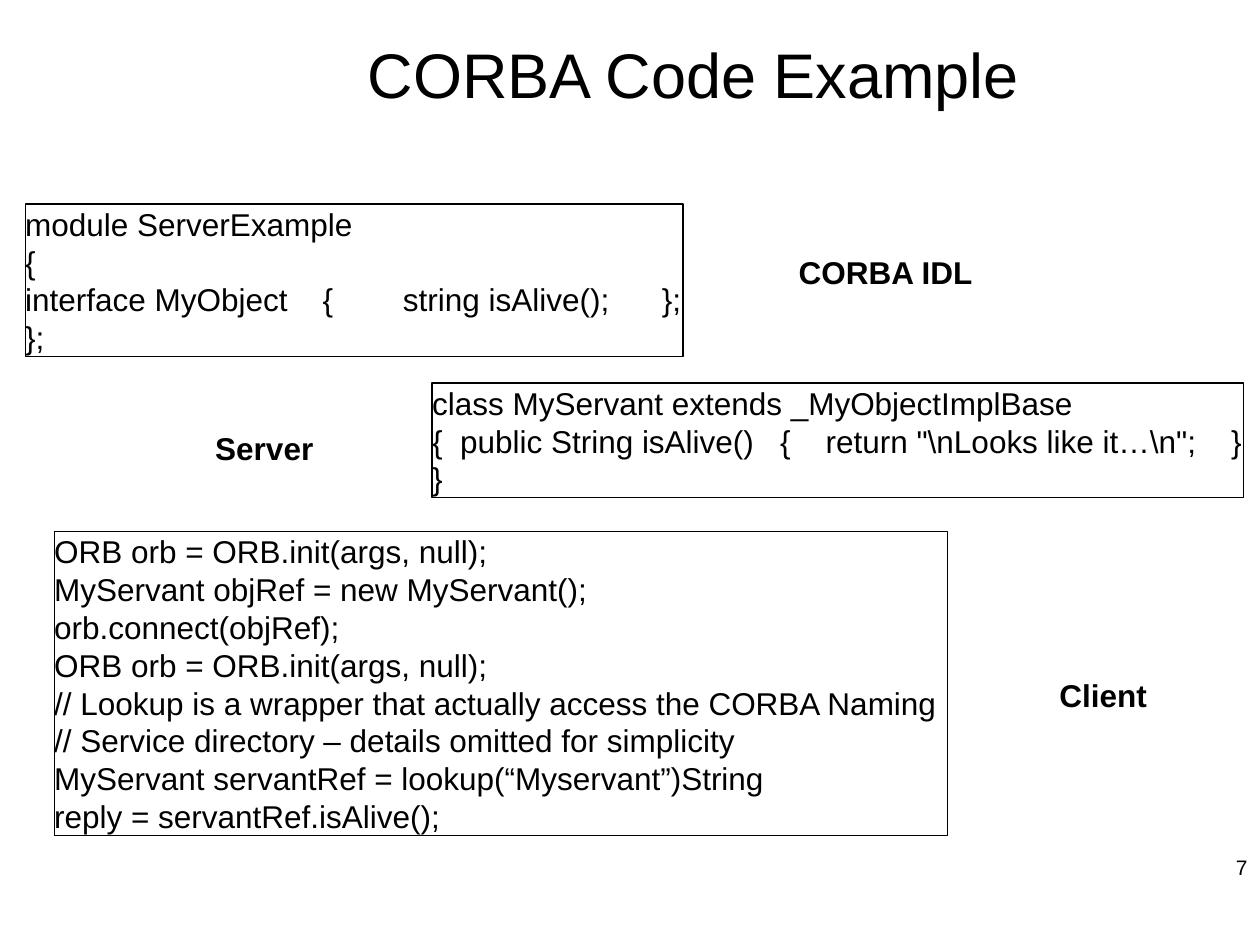
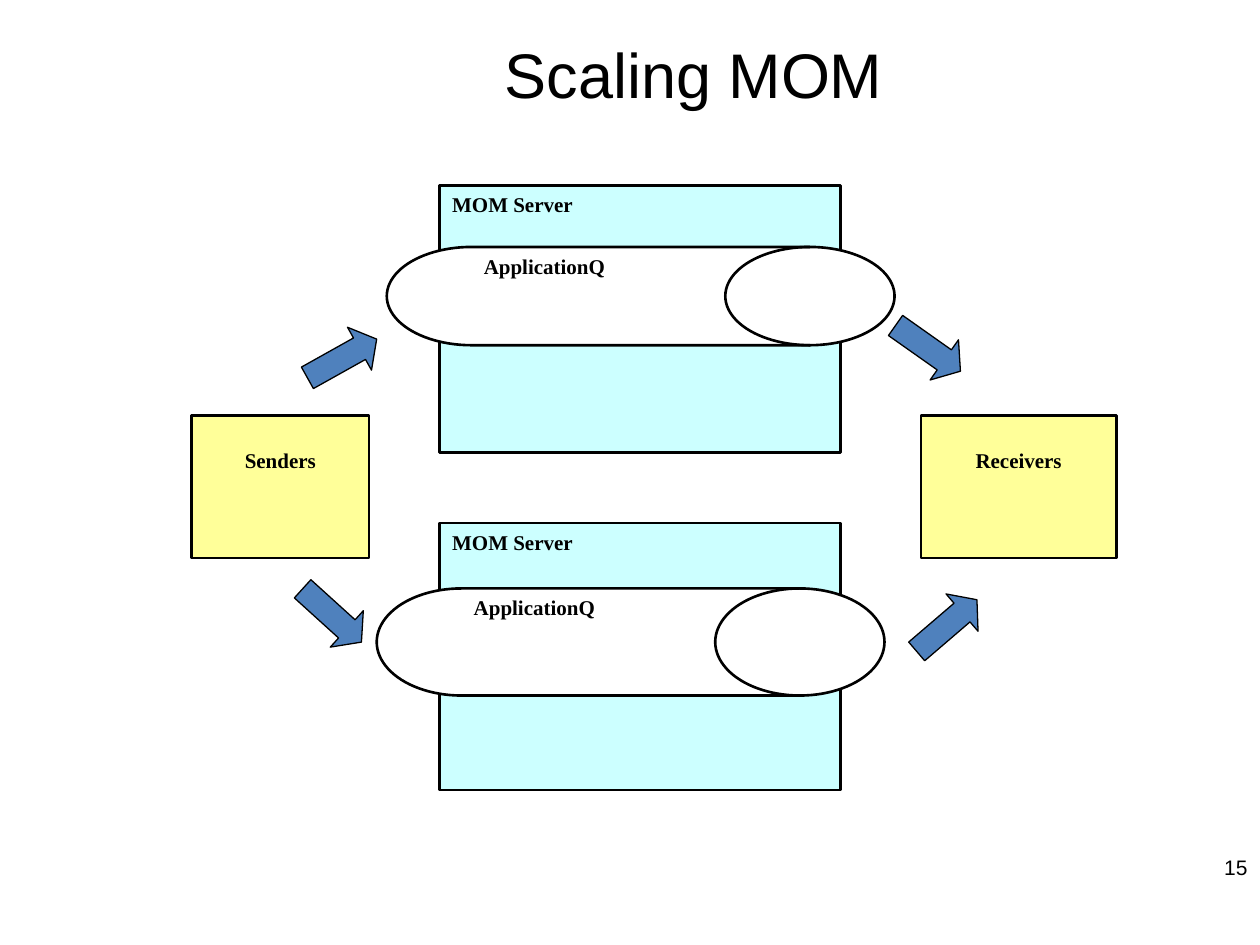
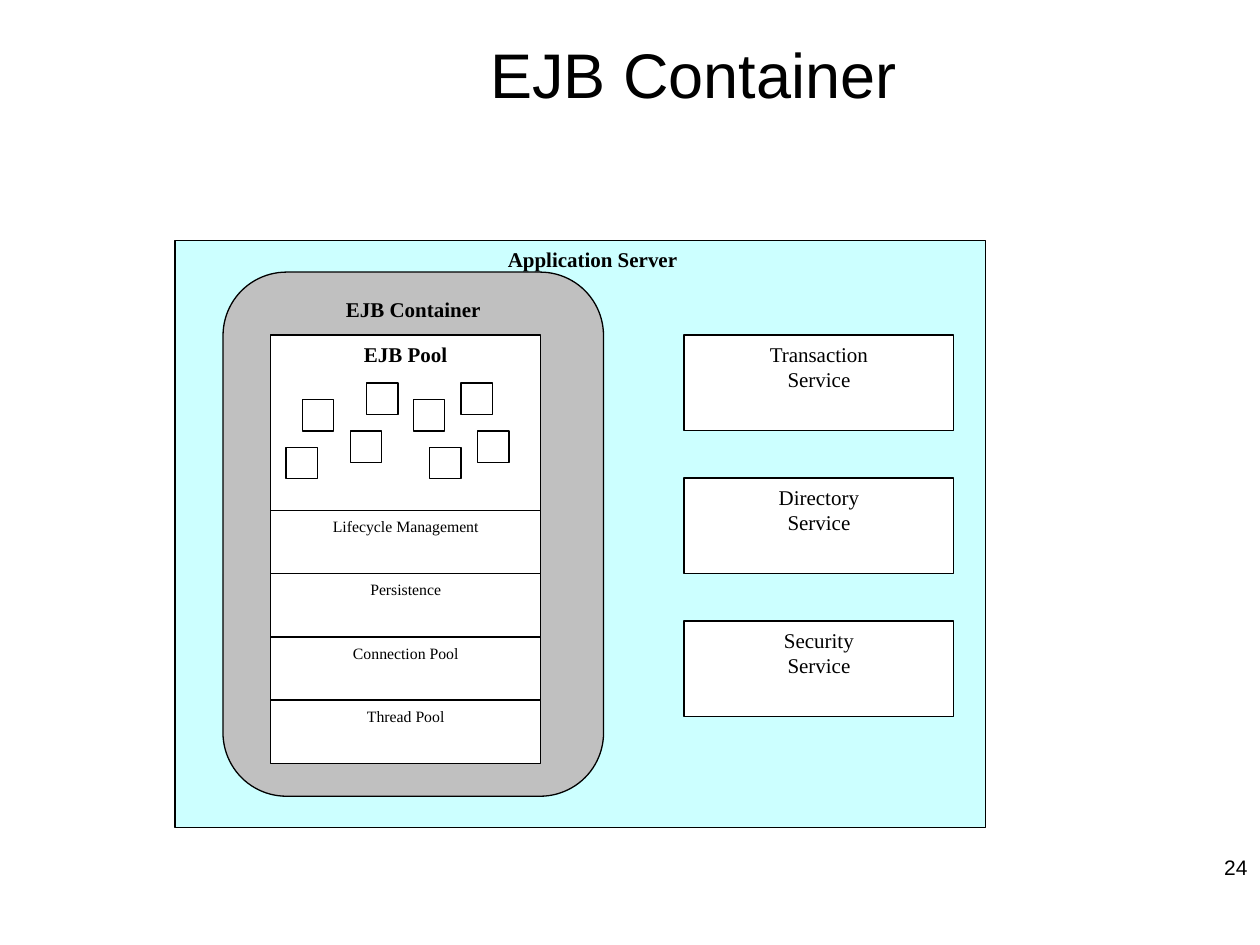
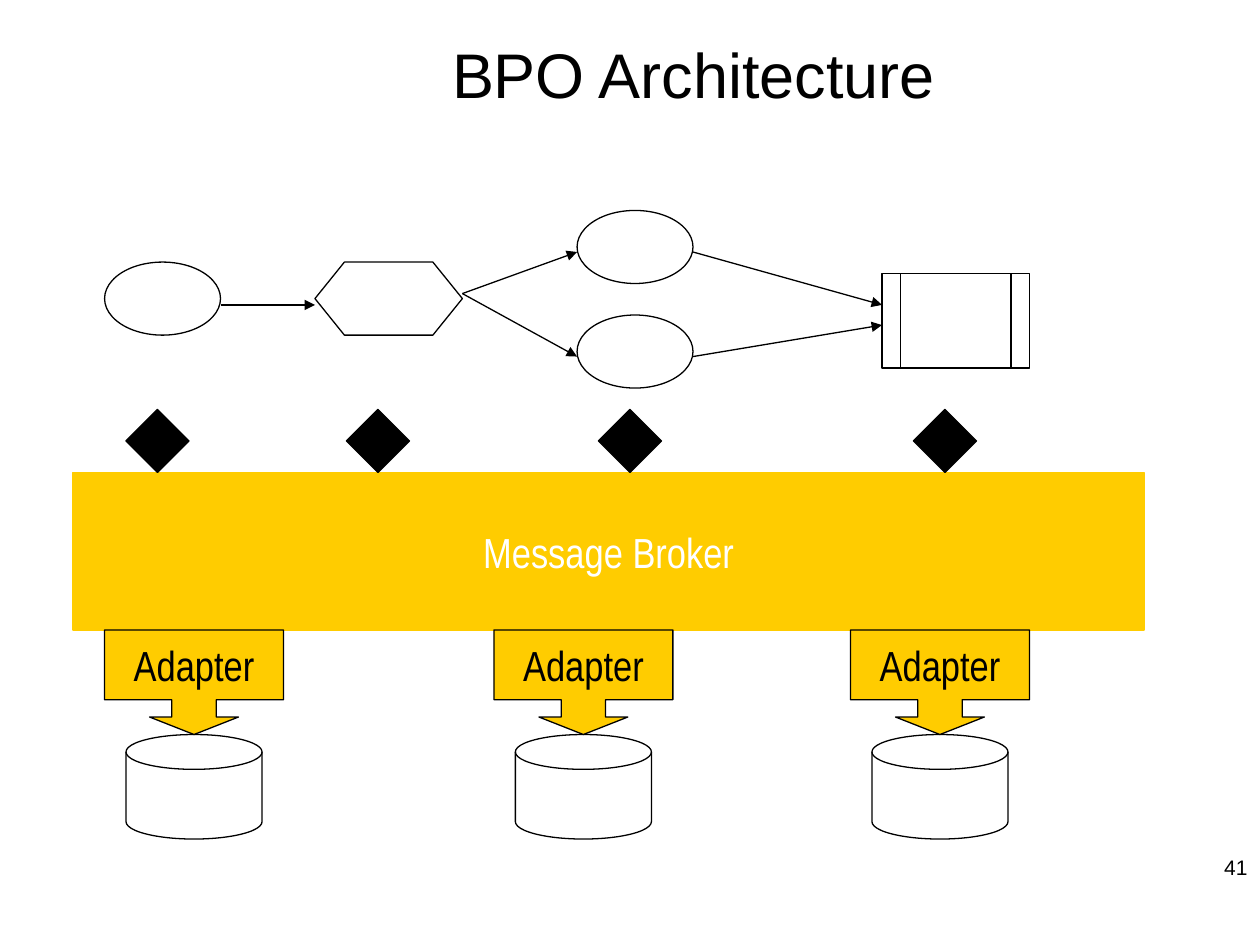
from pptx import Presentation
from pptx.dml.color import RGBColor
from pptx.enum.shapes import MSO_CONNECTOR, MSO_SHAPE as SHAPE
from pptx.enum.text import MSO_ANCHOR as ANCHOR, PP_ALIGN as ALIGN
from pptx.oxml.ns import qn
from pptx.util import Inches, Pt
from lxml.etree import SubElement

COLORS = {
    "black": "000000",
    "white": "FFFFFF",
    "server": "CCFFFF",
    "endpoint": "FFFF99",
    "arrow": "4F81BD",
    "container": "C0C0C0",
    "broker": "FFCC00",
}
SANS, NARROW, SERIF = "Arial", "Arial Narrow", "Times New Roman"
DEFAULT_INSETS = (0.1, 0.05, 0.1, 0.05)


def color(name):
    return RGBColor.from_string(COLORS[name])


def spread(first, last, count):
    """Return evenly spaced positions from first to last."""
    step = (last - first) / (count - 1)
    return [first + step * index for index in range(count)]


# Elements
def write(shape, text, size, font=SANS, bold=False, ink="black", align=ALIGN.LEFT,
          anchor=ANCHOR.TOP, wrap=True, insets=DEFAULT_INSETS):
    frame = shape.text_frame
    frame.word_wrap = wrap
    frame.vertical_anchor = anchor
    (frame.margin_left, frame.margin_top,
     frame.margin_right, frame.margin_bottom) = map(Inches, insets)
    for index, line in enumerate(text.split("\n")):
        paragraph = frame.paragraphs[0] if index == 0 else frame.add_paragraph()
        paragraph.add_run().text = line
        paragraph.alignment = align
        paragraph.font.name = font
        paragraph.font.size = Pt(size)
        paragraph.font.bold = bold
        paragraph.font.color.rgb = color(ink)


def add_label(slide, box, text, size, **style):
    label = slide.shapes.add_textbox(*map(Inches, box))
    write(label, text, size, **style)


def add_figure(slide, kind, box, fill="white", line="black", weight=0.75,
               adjust=(), rotation=0):
    shape = slide.shapes.add_shape(kind, *map(Inches, box))
    shape.shadow.inherit = False
    if fill:
        shape.fill.solid()
        shape.fill.fore_color.rgb = color(fill)
    else:
        shape.fill.background()
    shape.line.color.rgb = color(line)
    shape.line.width = Pt(weight)
    for index, value in enumerate(adjust):
        shape.adjustments[index] = value
    shape.rotation = rotation
    return shape


def add_code(slide, box, code):
    shape = add_figure(slide, SHAPE.RECTANGLE, box, fill=None)
    write(shape, code, 18, anchor=ANCHOR.MIDDLE, wrap=False, insets=(0, 0, 0, 0))


def add_arrow(slide, start, end):
    connector = slide.shapes.add_connector(
        MSO_CONNECTOR.STRAIGHT, *map(Inches, start + end))
    connector.line.color.rgb = color("black")
    connector.line.width = Pt(0.75)
    SubElement(connector.line._get_or_add_ln(), qn("a:tailEnd"), type="triangle")
    SubElement(connector._element.spPr, qn("a:effectLst"))


def add_slide(presentation, title, number):
    slide = presentation.slides.add_slide(presentation.slide_layouts[6])
    add_label(slide, (1.51, 0.05, 7.99, 1.06), title, 36,
              align=ALIGN.CENTER, anchor=ANCHOR.MIDDLE)
    add_label(slide, (7.67, 6.68, 2.33, 0.4), str(number), 12,
              align=ALIGN.RIGHT, anchor=ANCHOR.MIDDLE)
    return slide


# Slides
def build_code_example(presentation):
    slide = add_slide(presentation, "CORBA Code Example", 7)
    add_code(slide, (0.2, 1.62, 5.22, 1.21), """module ServerExample
{
interface MyObject    {        string isAlive();      };
};""")
    add_code(slide, (3.43, 3.04, 6.44, 0.91), r"""class MyServant extends _MyObjectImplBase
{  public String isAlive()   {    return "\nLooks like it…\n";    }
}""")
    add_code(slide, (0.43, 4.22, 7.09, 2.41), """ORB orb = ORB.init(args, null);
MyServant objRef = new MyServant();
orb.connect(objRef);
ORB orb = ORB.init(args, null);
// Lookup is a wrapper that actually access the CORBA Naming
// Service directory – details omitted for simplicity
MyServant servantRef = lookup(“Myservant”)String
reply = servantRef.isAlive();""")
    for text, left, top, width in (("CORBA IDL", 6.24, 1.96, 1.59),
                                   ("Server", 1.61, 3.36, 0.98),
                                   ("Client", 8.31, 5.32, 0.9)):
        add_label(slide, (left, top, width, 0.4), text, 18, bold=True, wrap=False)


def build_scaling(presentation):
    slide = add_slide(presentation, "Scaling MOM", 15)
    # Servers, each with its queue
    for server_top, queue_box in ((1.47, (3.07, 1.96, 4.03, 0.78)),
                                  (4.15, (2.99, 4.67, 4.03, 0.85))):
        server = add_figure(slide, SHAPE.RECTANGLE, (3.49, server_top, 3.18, 2.12),
                            "server", weight=1.5)
        write(server, "MOM Server", 12, SERIF, bold=True)
        queue = add_figure(slide, SHAPE.FLOWCHART_DIRECT_ACCESS_STORAGE, queue_box,
                           weight=1.5)
        write(queue, "ApplicationQ", 12, SERIF, bold=True)
    # Senders and receivers
    for text, left, width in (("Senders", 1.52, 1.41), ("Receivers", 7.31, 1.55)):
        endpoint = add_figure(slide, SHAPE.RECTANGLE, (left, 3.3, width, 1.13),
                              "endpoint", weight=1.5)
        write(endpoint, text, 12, SERIF, bold=True, align=ALIGN.CENTER,
              insets=(0.1, 0.25, 0.1, 0.05))
    # Message flow
    for left, top, rotation in ((2.4, 2.65, 330.8), (2.32, 4.69, 42.2),
                                (7.05, 2.57, 35.2), (7.2, 4.77, 319.4)):
        add_figure(slide, SHAPE.RIGHT_ARROW, (left, top, 0.63, 0.39), "arrow",
                   adjust=(0.5, 0.4), rotation=rotation)


def build_container(presentation):
    slide = add_slide(presentation, "EJB Container", 24)
    server = add_figure(slide, SHAPE.RECTANGLE, (1.39, 1.91, 6.43, 4.66), "server")
    write(server, "Application Server", 12, SERIF, bold=True,
          insets=(2.64, 0.05, 0.1, 0.05))
    container = add_figure(slide, SHAPE.FLOWCHART_ALTERNATE_PROCESS,
                           (1.77, 2.16, 3.02, 4.16), "container")
    write(container, "EJB Container", 12, SERIF, bold=True, align=ALIGN.CENTER)
    # Services
    services = ("Transaction", "Directory", "Security")
    for name, top in zip(services, spread(2.66, 4.93, len(services))):
        service = add_figure(slide, SHAPE.RECTANGLE, (5.43, top, 2.14, 0.76))
        write(service, f"{name}\nService", 12, SERIF, align=ALIGN.CENTER)
    # Container layers
    layers = ("Lifecycle Management", "Persistence", "Connection Pool", "Thread Pool")
    for text, top in zip(layers, spread(4.05, 5.56, len(layers))):
        layer = add_figure(slide, SHAPE.RECTANGLE, (2.15, top, 2.14, 0.5))
        write(layer, text, 9, SERIF, align=ALIGN.CENTER)
    # Pool of beans
    pool = add_figure(slide, SHAPE.RECTANGLE, (2.15, 2.66, 2.14, 1.39))
    write(pool, "EJB Pool", 12, SERIF, bold=True, align=ALIGN.CENTER)
    for left, top in ((2.4, 3.17), (2.78, 3.42), (2.91, 3.04), (3.28, 3.17),
                      (3.41, 3.55), (3.66, 3.04), (3.79, 3.42), (2.27, 3.55)):
        add_figure(slide, SHAPE.RECTANGLE, (left, top, 0.25, 0.25))


def build_architecture(presentation):
    slide = add_slide(presentation, "BPO Architecture", 41)
    # Process steps
    for left, top in ((0.83, 2.08), (4.58, 1.67), (4.58, 2.5)):
        add_figure(slide, SHAPE.OVAL, (left, top, 0.92, 0.58))
    add_figure(slide, SHAPE.FLOWCHART_PREPARATION, (2.5, 2.08, 1.17, 0.58))
    add_figure(slide, SHAPE.FLOWCHART_PREDEFINED_PROCESS, (7, 2.17, 1.17, 0.75))
    for start, end in (((1.75, 2.42), (2.5, 2.42)),
                       ((3.67, 2.33), (4.58, 2.83)),
                       ((3.67, 2.33), (4.58, 2)),
                       ((5.5, 2), (7, 2.42)),
                       ((5.5, 2.83), (7, 2.58))):
        add_arrow(slide, start, end)
    # Broker and its links to the process
    label_style = dict(font=NARROW, align=ALIGN.CENTER, anchor=ANCHOR.MIDDLE, wrap=False)
    broker = add_figure(slide, SHAPE.RECTANGLE, (0.58, 3.75, 8.5, 1.25),
                        "broker", line="broker")
    write(broker, "Message Broker", 24, ink="white", **label_style)
    for left in (1, 2.75, 4.75, 7.25):
        add_figure(slide, SHAPE.UP_DOWN_ARROW, (left, 3.25, 0.5, 0.5), "black",
                   adjust=(0.5, 0.2))
    # Adapters above their data stores
    for left in (0.83, 3.92, 6.75):
        add_figure(slide, SHAPE.FLOWCHART_MAGNETIC_DISK, (left + 0.17, 5.83, 1.08, 0.83))
        adapter = add_figure(slide, SHAPE.DOWN_ARROW_CALLOUT, (left, 5, 1.42, 0.83),
                             "broker", adjust=(0.425, 0.425, 0.167, 0.667))
        write(adapter, "Adapter", 24, **label_style)


def main():
    presentation = Presentation()
    presentation.slide_width = Inches(10)
    presentation.slide_height = Inches(7.5)
    build_code_example(presentation)
    build_scaling(presentation)
    build_container(presentation)
    build_architecture(presentation)
    presentation.save("out.pptx")


if __name__ == "__main__":
    main()
